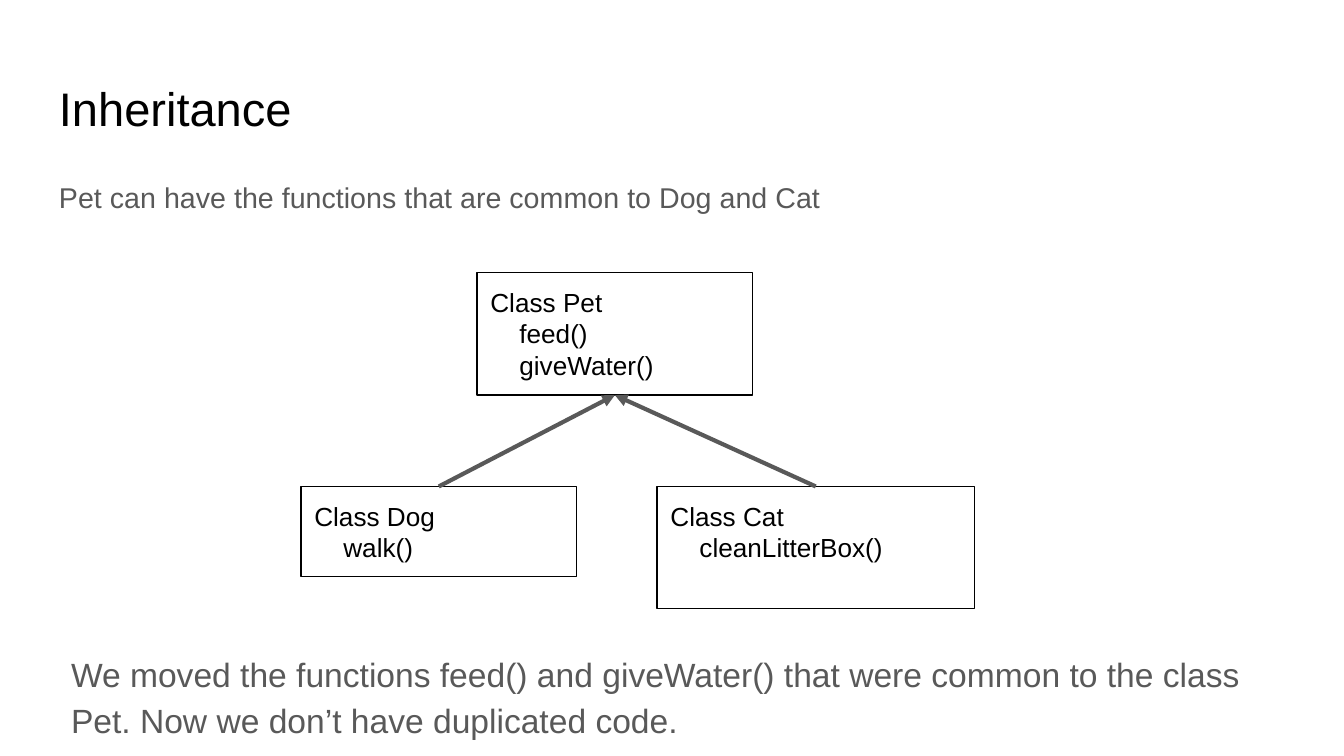
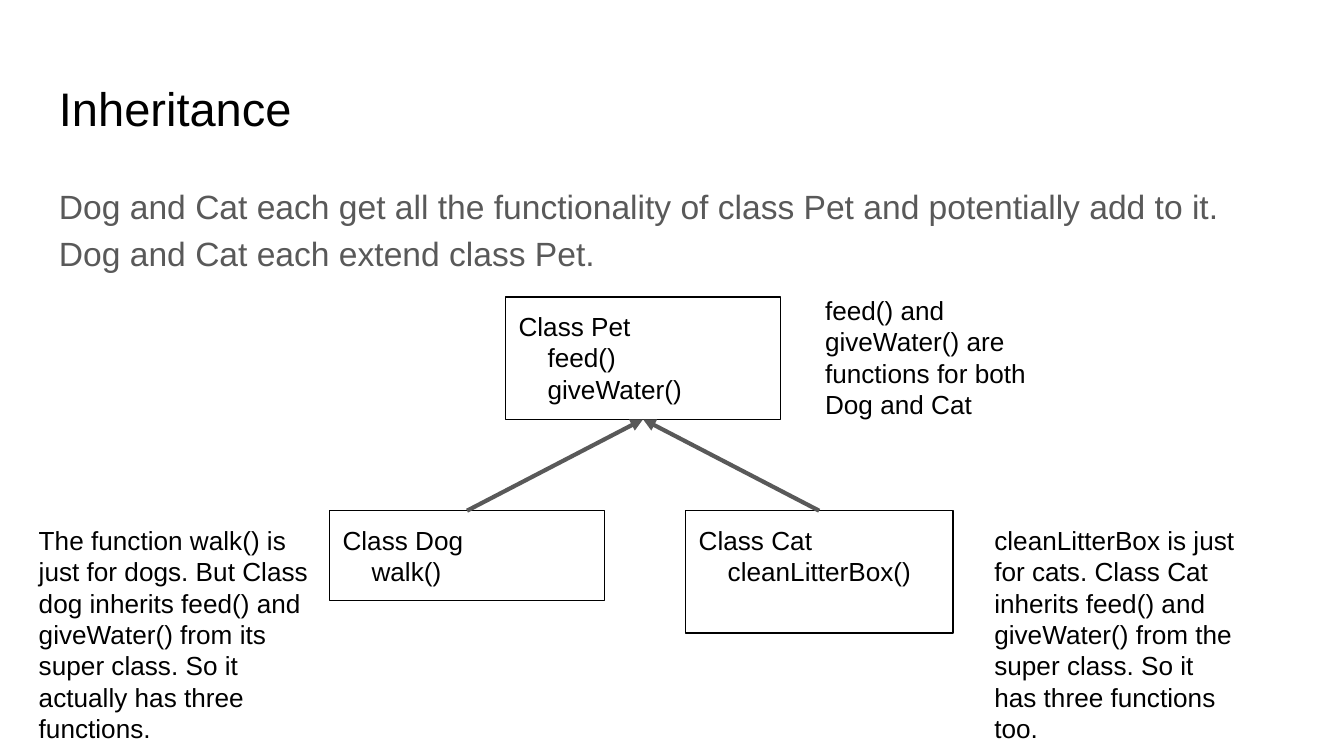
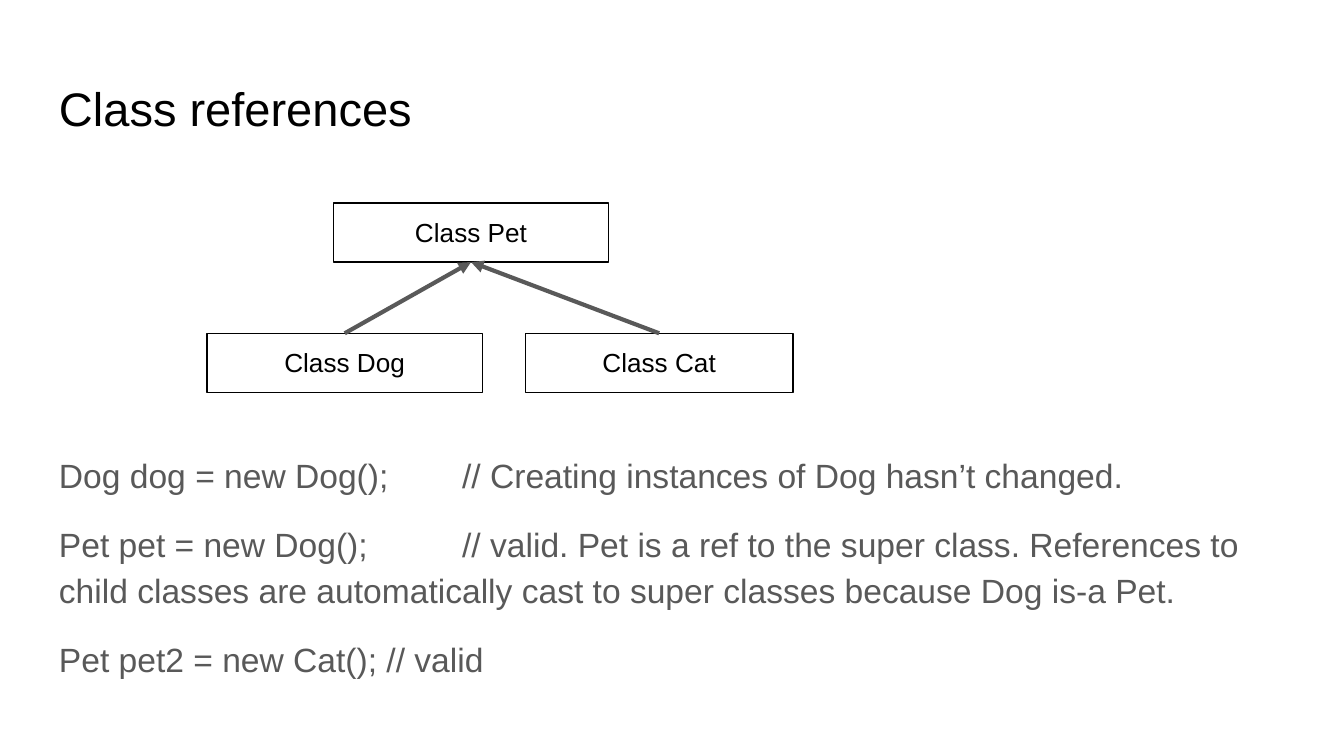
"""Build three slides on class inheritance."""
from dataclasses import dataclass

from lxml import etree
from pptx import Presentation
from pptx.dml.color import RGBColor
from pptx.enum.shapes import MSO_CONNECTOR, MSO_SHAPE
from pptx.enum.text import MSO_ANCHOR, PP_ALIGN
from pptx.oxml.ns import qn
from pptx.util import Inches, Pt

RECT = MSO_SHAPE.RECTANGLE
STRAIGHT = MSO_CONNECTOR.STRAIGHT
TOP = MSO_ANCHOR.TOP
LEFT, CENTER = PP_ALIGN.LEFT, PP_ALIGN.CENTER
TOP_SITE, BOTTOM_SITE = 0, 2


@dataclass(frozen=True)
class Theme:
    font: str = "Arial"
    black: RGBColor = RGBColor(0x00, 0x00, 0x00)
    gray: RGBColor = RGBColor(0x59, 0x59, 0x59)
    title_size: float = 25.2
    body_size: float = 18
    lead_size: float = 15.3
    label_size: float = 14
    paragraph_gap: float = 12
    body_spacing: float = 1.15
    comment_tab: float = 3
    inset: float = 0.1
    margin: float = 0.34
    content_width: float = 9.32
    box_width: float = 2.05
    one_row: float = 0.44
    two_rows: float = 0.67
    three_rows: float = 0.91
    outline: float = 0.75
    arrow: float = 2.25


THEME = Theme()


@dataclass(frozen=True)
class ClassBox:
    left: float
    top: float
    height: float
    lines: tuple[str, ...]
    width: float = THEME.box_width
    align: PP_ALIGN = LEFT


@dataclass(frozen=True)
class Body:
    top: float
    height: float
    lines: tuple[str, ...]
    left: float = THEME.margin
    size: float = THEME.body_size
    spacing: float = THEME.body_spacing


@dataclass(frozen=True)
class SideNote:
    left: float
    top: float
    width: float
    height: float
    text: str


@dataclass(frozen=True)
class InheritanceSlide:
    title: str
    bodies: tuple[Body, ...]
    parent: ClassBox
    children: tuple[ClassBox, ...]
    notes: tuple[SideNote, ...] = ()


PET = ("Class Pet", "    feed()", "    giveWater()")
DOG = ("Class Dog", "    walk()")
CAT = ("Class Cat", "    cleanLitterBox()")

SLIDES = (
    InheritanceSlide(
        "Inheritance",
        (
            Body(1.26, 0.63, ("Pet can have the functions that are common to Dog and Cat",),
                 size=THEME.lead_size, spacing=0.95),
            Body(4.72, 0.8, ("We moved the functions feed() and giveWater() that were common "
                             "to the class Pet. Now we don’t have duplicated code.",), left=0.43),
        ),
        ClassBox(3.55, 2.03, THEME.three_rows, PET),
        (ClassBox(2.24, 3.62, THEME.two_rows, DOG),
         ClassBox(4.89, 3.62, THEME.three_rows, CAT, 2.36)),
    ),
    InheritanceSlide(
        "Inheritance",
        (Body(1.24, 1.07, ("Dog and Cat each get all the functionality of class Pet and "
                           "potentially add to it. Dog and Cat each extend class Pet.",)),),
        ClassBox(3.76, 2.21, THEME.three_rows, PET),
        (ClassBox(2.45, 3.8, THEME.two_rows, DOG),
         ClassBox(5.1, 3.8, THEME.three_rows, CAT, 1.99)),
        (
            SideNote(6.04, 2.09, 2.05, 1.14,
                     "feed() and giveWater() are functions for both Dog and Cat"),
            SideNote(7.3, 3.8, 2.04, 1.62,
                     "cleanLitterBox is just for cats. Class Cat inherits feed() and "
                     "giveWater() from the super class. So it has three functions too."),
            SideNote(0.19, 3.8, 2.26, 1.85,
                     "The function walk() is just for dogs. But Class dog inherits feed() and "
                     "giveWater() from its super class. So it actually has three functions."),
        ),
    ),
    InheritanceSlide(
        "Class references",
        (Body(3.24, 2.18, (
            "Dog dog = new Dog(); \t// Creating instances of Dog hasn’t changed.",
            "Pet pet = new Dog();\t// valid. Pet is a ref to the super class. References to "
            "child classes are automatically cast to super classes because Dog is-a Pet.",
            "Pet pet2 = new Cat(); // valid",
        )),),
        ClassBox(2.48, 1.51, THEME.one_row, PET[:1], align=CENTER),
        (ClassBox(1.54, 2.48, THEME.one_row, DOG[:1], align=CENTER),
         ClassBox(3.91, 2.48, THEME.one_row, CAT[:1], 1.99, CENTER)),
    ),
)


def add_tab_stop(p, position: float) -> None:
    """Give a paragraph one left tab stop."""
    tabs = etree.SubElement(p._p.get_or_add_pPr(), qn("a:tabLst"))
    etree.SubElement(tabs, qn("a:tab"), pos=str(Inches(position)), algn="l")


def write(sp, lines: tuple[str, ...], size: float, color: RGBColor,
          align: PP_ALIGN = LEFT, spacing: float | None = None) -> None:
    """Fill a shape with paragraphs in the theme font."""
    tf = sp.text_frame
    tf.word_wrap = True
    tf.vertical_anchor = TOP
    tf.margin_left = tf.margin_right = tf.margin_top = tf.margin_bottom = Inches(THEME.inset)
    tf.text = "\n".join(lines)
    for i, p in enumerate(tf.paragraphs):
        p.alignment = align
        if spacing:
            p.line_spacing = spacing
            p.space_before = Pt(THEME.paragraph_gap if i else 0)
        if "\t" in lines[i]:
            add_tab_stop(p, THEME.comment_tab)
        for r in p.runs:
            r.font.name = THEME.font
            r.font.size = Pt(size)
            r.font.color.rgb = color


def add_text(s, left: float, top: float, width: float, height: float):
    """Add an empty text box."""
    return s.shapes.add_textbox(Inches(left), Inches(top), Inches(width), Inches(height))


def add_class(s, box: ClassBox):
    """Draw an outlined class box."""
    sp = s.shapes.add_shape(RECT, Inches(box.left), Inches(box.top),
                            Inches(box.width), Inches(box.height))
    sp.shadow.inherit = False
    sp.fill.background()
    sp.line.color.rgb = THEME.black
    sp.line.width = Pt(THEME.outline)
    write(sp, box.lines, THEME.label_size, THEME.black, box.align)
    return sp


def add_arrow(s, child, parent) -> None:
    """Point an arrow from a child class to its parent."""
    cx = s.shapes.add_connector(STRAIGHT, 0, 0, 0, 0)
    cx.begin_connect(child, TOP_SITE)
    cx.end_connect(parent, BOTTOM_SITE)
    cx.line.color.rgb = THEME.gray
    cx.line.width = Pt(THEME.arrow)
    etree.SubElement(cx.line._get_or_add_ln(), qn("a:tailEnd"), type="triangle")
    etree.SubElement(cx._element.spPr, qn("a:effectLst"))


def add_slide(prs, content: InheritanceSlide) -> None:
    """Add a slide with title, text, class diagram and side notes."""
    s = prs.slides.add_slide(prs.slide_layouts[6])
    title = add_text(s, THEME.margin, 0.49, THEME.content_width, 0.63)
    write(title, (content.title,), THEME.title_size, THEME.black)
    for body in content.bodies:
        sp = add_text(s, body.left, body.top, THEME.content_width, body.height)
        write(sp, body.lines, body.size, THEME.gray, spacing=body.spacing)
    parent = add_class(s, content.parent)
    children = [add_class(s, box) for box in content.children]
    for child in children:
        add_arrow(s, child, parent)
    for note in content.notes:
        sp = add_text(s, note.left, note.top, note.width, note.height)
        write(sp, (note.text,), THEME.label_size, THEME.black)


def main() -> None:
    """Build and save the presentation."""
    prs = Presentation()
    prs.slide_width = Inches(10)
    prs.slide_height = prs.slide_width * 9 // 16
    for content in SLIDES:
        add_slide(prs, content)
    prs.save("out.pptx")


if __name__ == "__main__":
    main()
